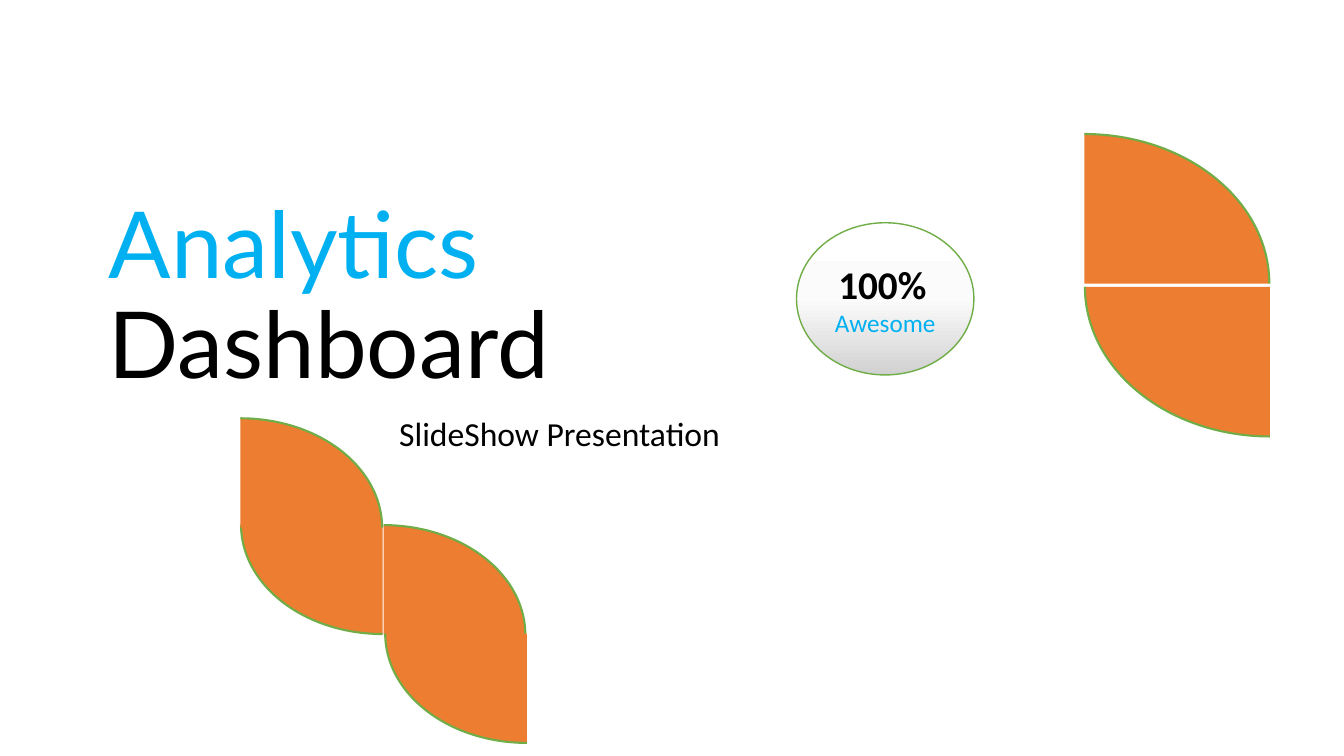
from copy import deepcopy

from pptx import Presentation
from pptx.dml.color import RGBColor
from pptx.enum.shapes import MSO_SHAPE
from pptx.enum.text import MSO_ANCHOR, PP_ALIGN
from pptx.util import Inches, Pt

ARC, OVAL = MSO_SHAPE.ARC, MSO_SHAPE.OVAL
TOP, MIDDLE, BOTTOM = MSO_ANCHOR.TOP, MSO_ANCHOR.MIDDLE, MSO_ANCHOR.BOTTOM
LEFT, CENTER = PP_ALIGN.LEFT, PP_ALIGN.CENTER

COLORS = {
    "sky": "00B0F0", "black": "000000", "orange": "ED7D31", "green": "70AD47",
    "white": "FFFFFF", "pale": "FBFBFB", "grey": "D1D1D1",
}

TITLE = ["Analytics\v", "Dashboard"]
TITLE_STYLES = [("Lato", 66, "sky", False), ("Lato", 66, "black", False)]
SUBTITLE = ["SlideShow Presentation"]
SUBTITLE_STYLES = [("Calibri", 24, "black", False)]
BADGE = [
    [("100%", ("Calibri", 28, "black", True)), (" ", ("Calibri", 18, "black", False))],
    [("Awesome", ("Calibri", 18, "sky", False))],
]
BADGE_STOPS = [(0, "white"), (0.5, "pale"), (1, "grey")]

BIG_PETAL = (3.67, 2.97)
SMALL_PETAL = (2.81, 2.17)
BIG_PETALS = [(8.92, 1.33, 0), (10.76, 1.36, 180)]
SMALL_PETALS = [(2.39, 4.12, 180), (2.4, 5.21, 0), (0.98, 4.15, 0), (3.82, 5.2, 180)]


def color(name):
    return RGBColor.from_string(COLORS[name])


def style_run(r, style):
    r.font.name, size, name, r.font.bold = style
    r.font.size = Pt(size)
    r.font.color.rgb = color(name)


def add_heading(shapes, box, parts, styles, anchor, align):
    tf = shapes.add_textbox(*map(Inches, box)).text_frame
    tf.word_wrap = True
    tf.vertical_anchor = anchor
    p = tf.paragraphs[0]
    p.text = "".join(parts)
    p.alignment = align
    p.line_spacing = 0.9
    for r, style in zip(p.runs, styles):
        style_run(r, style)


def add_outlined(shapes, kind, box, width):
    sp = shapes.add_shape(kind, *map(Inches, box))
    sp.shadow.inherit = False
    sp.line.color.rgb = color("green")
    sp.line.width = Pt(width)
    return sp


def add_petals(shapes, petals, size):
    for left, top, rotation in petals:
        sp = add_outlined(shapes, ARC, (left, top, *size), 1.5)
        sp.rotation = rotation
        sp.fill.solid()
        sp.fill.fore_color.rgb = color("orange")


def add_badge(shapes):
    sp = add_outlined(shapes, OVAL, (7.9, 2.21, 1.76, 1.51), 1)
    sp.fill.gradient()
    sp.fill.gradient_angle = 270
    first = sp._element.xpath(".//a:gs")[0]
    first.addnext(deepcopy(first))
    for stop, (position, name) in zip(sp.fill.gradient_stops, BADGE_STOPS):
        stop.position = position
        stop.color.rgb = color(name)
    tf = sp.text_frame
    tf.vertical_anchor = MIDDLE
    tf.text = "\n".join("" for _ in BADGE)
    for p, parts in zip(tf.paragraphs, BADGE):
        p.alignment = CENTER
        for text, style in parts:
            r = p.add_run()
            r.text = text
            style_run(r, style)


def main():
    prs = Presentation()
    prs.slide_width, prs.slide_height = Inches(13.33), Inches(7.5)
    s = prs.slides.add_slide(prs.slide_layouts[6])
    add_heading(s.shapes, (0.98, 1.39, 10, 2.61), TITLE, TITLE_STYLES, BOTTOM, LEFT)
    add_heading(s.shapes, (0.55, 4.09, 10, 1.81), SUBTITLE, SUBTITLE_STYLES, TOP, CENTER)
    add_badge(s.shapes)
    add_petals(s.shapes, BIG_PETALS, BIG_PETAL)
    add_petals(s.shapes.add_group_shape().shapes, SMALL_PETALS, SMALL_PETAL)
    prs.save("out.pptx")


if __name__ == "__main__":
    main()
